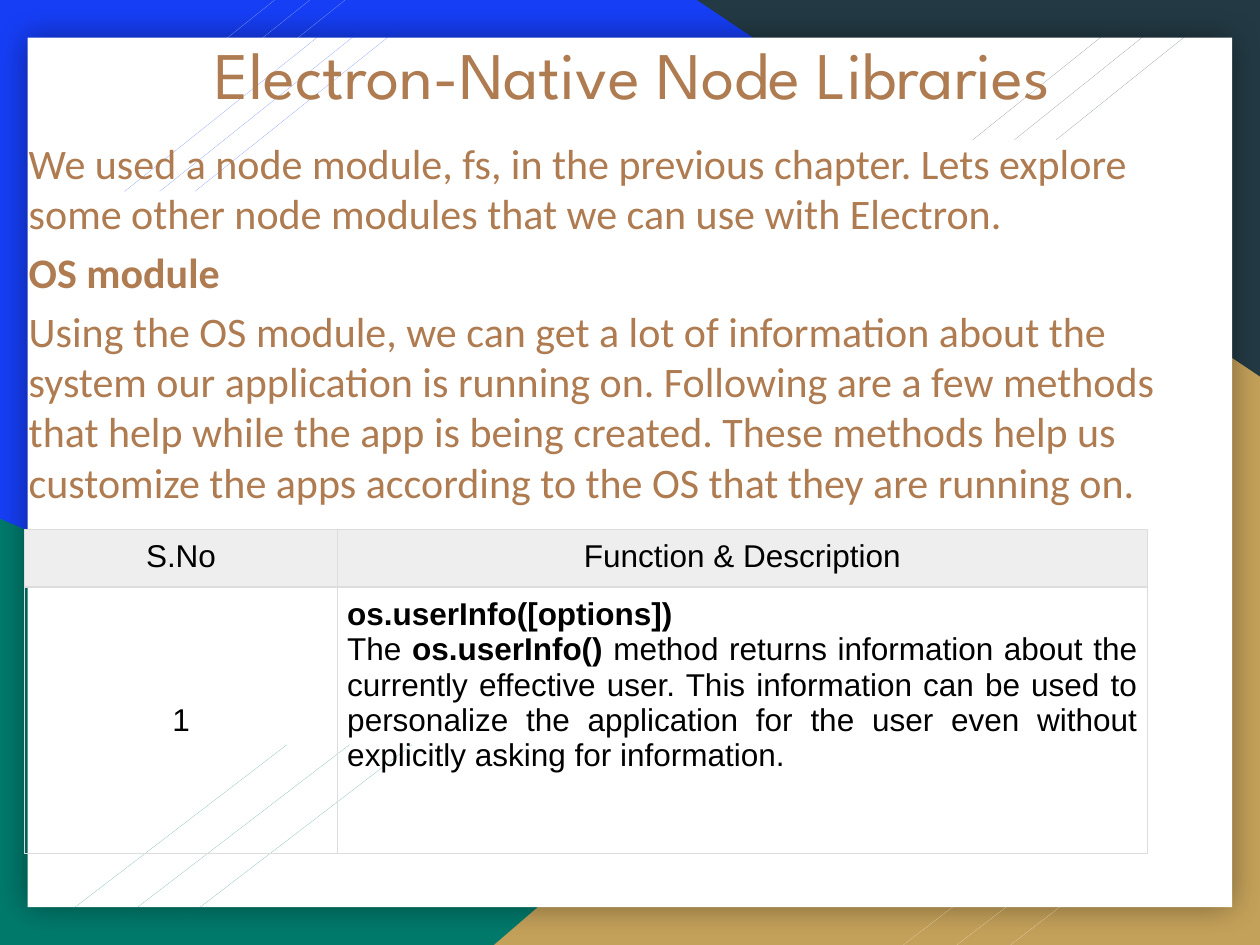
import pptx
import pptx.util
import pptx.dml.color
import pptx.enum.shapes
import pptx.enum.text
import pptx.oxml
import pptx.oxml.ns

Cm = pptx.util.Cm
Pt = pptx.util.Pt
kind = pptx.enum.shapes.MSO_SHAPE
align = pptx.enum.text.PP_ALIGN
anchor = pptx.enum.text.MSO_ANCHOR
ns = pptx.oxml.ns.nsdecls("a")
hues = {"blue": "163EF5", "green": "00796B", "gold": "C4A15A", "dark": "233A44",
        "white": "FFFFFF", "brown": "AF7B51", "black": "000000",
        "head": "EEEEEE", "rule": "DDDDDD"}


def tint(name):
    return pptx.dml.color.RGBColor.from_string(hues[name])


def write(para, text, size=18, font="Arial", hue="black", bold=False,
          side=align.LEFT, gap=0):
    para.alignment = side
    para.space_before = Pt(gap)
    run = para.add_run()
    run.text = text
    run.font.size = Pt(size)
    run.font.name = font
    run.font.bold = bold
    run.font.color.rgb = tint(hue)


deck = pptx.Presentation()
deck.slide_width, deck.slide_height = Cm(25.4), Cm(19.05)
slide = deck.slides.add_slide(deck.slide_layouts[6])
slide.background.fill.solid()
slide.background.fill.fore_color.rgb = tint("blue")

# Corner triangles, white card and diagonal hairlines
parts = [
    (kind.RIGHT_TRIANGLE, "green", 0, 10.46, 20.47, 8.59),
    (kind.RIGHT_TRIANGLE, "gold", 9.96, 5.74, 15.44, 13.31),
    (kind.RIGHT_TRIANGLE, "dark", 14.05, 0, 11.35, 7.59),
    (kind.RECTANGLE, "white", 0.56, 0.76, 24.28, 17.53),
]
stripes = [
    ("white", 0.71, 0, 4.83, 3.86, 0.71),
    ("blue", 2.51, 0, 4.83, 3.86, 0.71),
    ("dark", 19.61, 0.03, 3.48, 2.79, 0.84),
    ("white", 18.21, 15.62, 4.47, 3.43, 1.08),
    ("green", 0.56, 15.01, 5.23, 4.01, 1.26),
]
for hue, left, top, wide, high, step in stripes:
    for i in (2, 1, 0):
        parts.append((kind.PARALLELOGRAM, hue, left + i * step, top, wide, high))

for form, hue, *box in parts:
    shape = slide.shapes.add_shape(form, *[Cm(n) for n in box])
    shape.shadow.inherit = False
    shape.fill.solid()
    shape.fill.fore_color.rgb = tint(hue)
    shape.line.fill.background()
    props = shape._element.spPr
    if form == kind.PARALLELOGRAM:
        shape.adjustments[0] = 1.58
    elif hue == "gold":
        props.find(pptx.oxml.ns.qn("a:xfrm")).set("flipH", "1")
    elif hue == "dark":
        shape.rotation = 180
    elif form == kind.RECTANGLE:
        glow = props.find(pptx.oxml.ns.qn("a:effectLst"))
        glow.append(pptx.oxml.parse_xml(
            f'<a:outerShdw {ns} blurRad="{Pt(18)}" dist="0" dir="0" algn="ctr" '
            f'rotWithShape="0"><a:srgbClr val="{hues["black"]}">'
            '<a:alpha val="40000"/></a:srgbClr></a:outerShdw>'))

# Title
title = slide.shapes.add_textbox(Cm(1.8), Cm(0.3), Cm(21.59), Cm(2.34)).text_frame
title.word_wrap = True
title.vertical_anchor = anchor.MIDDLE
write(title.paragraphs[0], " Electron-Native Node Libraries", size=38,
      font="League Spartan", hue="brown", side=align.CENTER)

# Body text
body = slide.shapes.add_textbox(Cm(0.33), Cm(2.64), Cm(24.56), Cm(14.4)).text_frame
body.word_wrap = True
lines = [
    "We used a node module, fs, in the previous chapter. Lets explore some other "
    "node modules that we can use with Electron.",
    "OS module",
    "Using the OS module, we can get a lot of information about the system our "
    "application is running on. Following are a few methods that help while the app "
    "is being created. These methods help us customize the apps according to the OS "
    "that they are running on.",
]
for i, text in enumerate(lines):
    para = body.add_paragraph() if i else body.paragraphs[0]
    write(para, text, size=24, font="Calibri", hue="brown", bold=i == 1,
          gap=4.8 if i else 0)

# Table of functions
table = slide.shapes.add_table(2, 2, Cm(0.5), Cm(10.67), Cm(22.63), Cm(6.5)).table
table.first_row = table.horz_banding = False
for i, wide in enumerate((6.3, 16.33)):
    table.columns[i].width = Cm(wide)
for i, high in enumerate((1.12, 5.38)):
    table.rows[i].height = Cm(high)

for cell in table.iter_cells():
    cell.margin_left = cell.margin_right = Cm(0.2)
    cell.margin_top = cell.margin_bottom = Cm(0.2)
    cell.fill.background()
    for i, edge in enumerate(("lnL", "lnR", "lnT", "lnB")):
        cell._tc.get_or_add_tcPr().insert(i, pptx.oxml.parse_xml(
            f'<a:{edge} {ns} w="{Pt(0.75)}"><a:solidFill>'
            f'<a:srgbClr val="{hues["rule"]}"/></a:solidFill></a:{edge}>'))

for i, text in enumerate(("S.No", "Function & Description")):
    cell = table.cell(0, i)
    cell.fill.solid()
    cell.fill.fore_color.rgb = tint("head")
    write(cell.text_frame.paragraphs[0], text, side=align.CENTER)

first = table.cell(1, 0)
first.vertical_anchor = anchor.MIDDLE
write(first.text_frame.paragraphs[0], "1", side=align.CENTER)

note = table.cell(1, 1).text_frame
write(note.paragraphs[0], "os.userInfo([options])", bold=True, side=align.JUSTIFY)
para = note.add_paragraph()
for text, bold in (
    ("The ", False),
    ("os.userInfo()", True),
    (" method returns information about the currently effective user. This "
     "information can be used to personalize the application for the user even "
     "without explicitly asking for information.", False),
):
    write(para, text, bold=bold, side=align.JUSTIFY)

deck.save("out.pptx")
